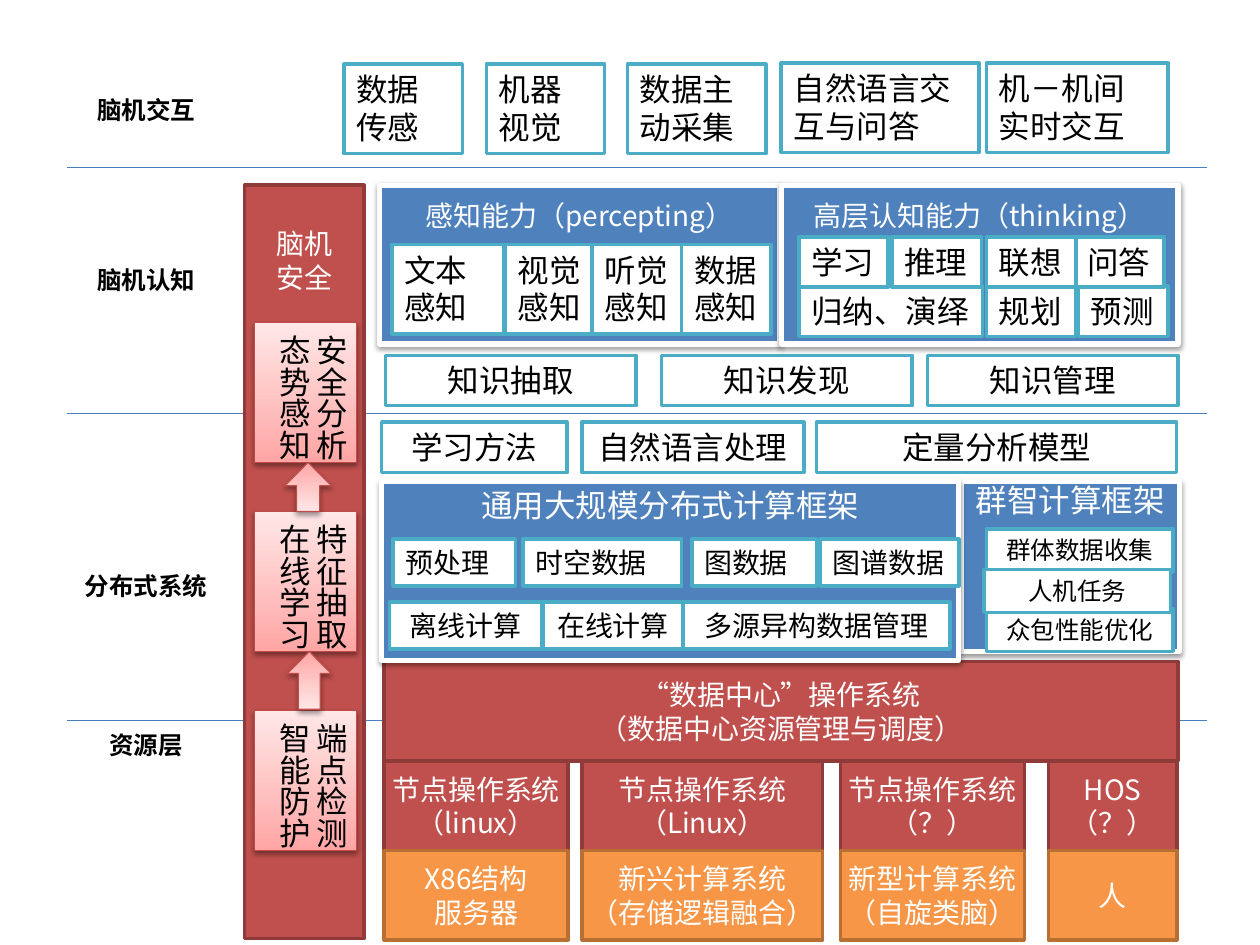
from lxml.etree import SubElement
from pptx import Presentation
from pptx.dml.color import RGBColor
from pptx.enum.shapes import MSO_CONNECTOR, MSO_SHAPE as Kind
from pptx.enum.text import MSO_ANCHOR as Anchor, MSO_AUTO_SIZE as Auto, PP_ALIGN as Align
from pptx.oxml.ns import qn
from pptx.util import Inches, Pt

FACE = "Noto Sans CJK SC"
WHITE = RGBColor(0xFF, 0xFF, 0xFF)
BLACK = RGBColor(0, 0, 0)
BLUE = RGBColor(0x4F, 0x81, 0xBD)
RULE = RGBColor(0x4B, 0x7E, 0xBC)
TEAL = RGBColor(0x4B, 0xAC, 0xC6)
RED = RGBColor(0xC0, 0x50, 0x4D)
WINE = RGBColor(0x8E, 0x3B, 0x39)
GOLD = RGBColor(0xF7, 0x96, 0x46)
BROWN = RGBColor(0xB7, 0x6F, 0x34)
ROSE = RGBColor(0xFF, 0xA6, 0xA5)
PALE = RGBColor(0xFF, 0xE7, 0xE7)
EDGE = RGBColor(0xBF, 0x4C, 0x48)


def write(shape, text, size, color, align=Align.CENTER, bold=False):
    frame = shape.text_frame
    frame.text = text
    for par in frame.paragraphs:
        par.alignment = align
        font = par.font
        font.size, font.bold, font.name = Pt(size), bold, FACE
        font.color.rgb = color
        SubElement(par._p.pPr.find(qn("a:defRPr")), qn("a:ea"), typeface=FACE)
    return frame


def draw(slide, spot, edge, width, fill=None, kind=Kind.RECTANGLE):
    shape = slide.shapes.add_shape(kind, *map(Inches, spot))
    shape.shadow.inherit = False
    shape.line.color.rgb = edge
    shape.line.width = Pt(width)
    if fill is not None:
        shape.fill.solid()
        shape.fill.fore_color.rgb = fill
    return shape


def shade(shape):
    effect = shape.element.spPr.find(qn("a:effectLst"))
    outer = SubElement(effect, qn("a:outerShdw"), blurRad=str(Pt(3.1)),
                       dist=str(Pt(1.6)), dir="5400000", rotWithShape="0")
    tone = SubElement(outer, qn("a:srgbClr"), val="000000")
    SubElement(tone, qn("a:alpha"), val="38000")


def block(slide, spot, text, fill, edge, width=2, size=16, head=None):
    shape = draw(slide, spot, edge, width, fill)
    frame = write(shape, text, size, WHITE)
    frame.word_wrap = True
    frame.margin_left = frame.margin_right = Inches(0.04)
    frame.vertical_anchor = Anchor.MIDDLE
    if head is not None:
        frame.vertical_anchor = Anchor.TOP
        frame.margin_top = Inches(head)
    return shape


def panel(slide, spot, text, size, head):
    shade(block(slide, spot, text, BLUE, WHITE, 3, size, head))


def row(slide, top, high, items, size=18, align=Align.CENTER, wrap=True):
    for left, width, text in items:
        shape = draw(slide, (left, top, width, high), TEAL, 2, WHITE)
        frame = write(shape, text, size, BLACK, align)
        frame.word_wrap = wrap
        frame.vertical_anchor = Anchor.TOP
        frame.auto_size = Auto.SHAPE_TO_FIT_TEXT


def blush(slide, spot, kind=Kind.RECTANGLE):
    shape = draw(slide, spot, EDGE, 0.75, kind=kind)
    shape.fill.gradient()
    shape.fill.gradient_angle = 90
    for stop, color in zip(shape.fill.gradient_stops, (ROSE, PALE)):
        stop.color.rgb = color
    shade(shape)
    return shape


def step(slide, top, text):
    shape = blush(slide, (2.02, top, 0.81, 1.11))
    frame = write(shape, text, 18, BLACK, Align.LEFT)
    frame.word_wrap = False
    frame.vertical_anchor = Anchor.TOP
    frame.auto_size = Auto.SHAPE_TO_FIT_TEXT
    shape.element.txBody.bodyPr.set("vert", "eaVert")


def arrow(slide, spot):
    blush(slide, spot, Kind.DOWN_ARROW).rotation = 180


def rule(slide, top):
    line = slide.shapes.add_connector(
        MSO_CONNECTOR.STRAIGHT, Inches(0.53), Inches(top), Inches(9.58), Inches(top))
    line.line.color.rgb = RULE
    line.line.width = Pt(0.75)
    SubElement(line.element.spPr, qn("a:effectLst"))


def label(slide, top, text):
    box = slide.shapes.add_textbox(Inches(0.05), Inches(top), Inches(2.22), Inches(0.56))
    frame = write(box, text, 14, BLACK, bold=True)
    frame.word_wrap = True
    frame.vertical_anchor = Anchor.MIDDLE


def frames(slide):
    panel(slide, (7.63, 3.82, 1.73, 1.35), "群智计算框架", 18, 0)
    for top in (1.33, 3.28, 5.72):
        rule(slide, top)
    for top, text in ((0.59, "脑机交互"), (1.94, "脑机认知"),
                      (4.37, "分布式系统"), (5.63, "资源层")):
        label(slide, top, text)
    block(slide, (3.05, 5.25, 6.3, 0.79),
          "“数据中心”操作系统\n（数据中心资源管理与调度）", RED, WINE)
    panel(slide, (3.03, 3.82, 4.58, 1.42), "通用大规模分布式计算框架", 18, 0.04)
    panel(slide, (3.01, 1.47, 3.18, 1.26), "感知能力（percepting）", 16, 0.11)
    panel(slide, (6.2, 1.47, 3.15, 1.26), "高层认知能力（thinking）", 16, 0.11)


def nodes(slide):
    for left, width, upper, lower in (
            (3.05, 1.46, "节点操作系统\n（linux）", "X86结构\n服务器"),
            (4.62, 1.91, "节点操作系统\n（Linux）", "新兴计算系统\n（存储逻辑融合）"),
            (6.67, 1.46, "节点操作系统\n（？）", "新型计算系统\n（自旋类脑）"),
            (8.32, 1.02, "HOS\n（？）", "人")):
        block(slide, (left, 6.04, width, 0.71), upper, RED, WINE)
        block(slide, (left, 6.75, width, 0.71), lower, GOLD, BROWN)


def cells(slide):
    left = Align.LEFT
    row(slide, 0.51, 0.71, ((2.73, 0.94, "数据传感"), (3.86, 0.94, "机器视觉"),
                            (4.98, 1.1, "数据主动采集")), align=left)
    row(slide, 0.5, 0.71, ((6.2, 1.57, "自然语言交互与问答"),
                           (7.83, 1.44, "机－机间\n实时交互")), align=left)
    row(slide, 1.94, 0.71, ((3.11, 0.89, "文本感知"),), align=left)
    row(slide, 1.94, 0.71, ((4.01, 0.71, "视觉\n感知"), (4.7, 0.71, "听觉\n感知"),
                            (5.41, 0.71, "数据\n感知")), align=left, wrap=False)
    row(slide, 2.27, 0.4, ((6.34, 1.46, "归纳、演绎"), (7.83, 0.71, "规划"),
                           (8.56, 0.71, "预测")), align=left, wrap=False)
    row(slide, 1.88, 0.4, ((6.34, 0.71, "学习"), (7.08, 0.71, "推理"),
                           (8.53, 0.71, "问答"), (7.83, 0.71, "联想")),
        align=left, wrap=False)
    row(slide, 2.82, 0.4, ((3.06, 1.99, "知识抽取"), (5.25, 1.99, "知识发现"),
                           (7.36, 1.99, "知识管理")))
    row(slide, 3.35, 0.4, ((3.03, 1.47, "学习方法"), (4.62, 1.76, "自然语言处理"),
                           (6.48, 2.86, "定量分析模型")))
    row(slide, 4.28, 0.37, ((3.12, 0.97, "预处理"), (4.15, 1.26, "时空数据"),
                            (5.49, 0.99, "图数据"), (6.51, 1.1, "图谱数据")), 16, left)
    row(slide, 4.78, 0.37, ((3.09, 1.21, "离线计算"), (4.31, 1.11, "在线计算"),
                            (5.42, 2.12, "多源异构数据管理")), 16)
    for top, start, text in ((4.2, 7.83, "群体数据收集"), (4.83, 7.83, "众包性能优化"),
                             (4.52, 7.81, "人机任务")):
        row(slide, top, 0.34, ((start, 1.48, text),), 14)


def safety(slide):
    block(slide, (1.94, 1.47, 0.95, 5.98), "脑机\n安全", RED, WINE, head=0.33)
    for top, text in ((2.56, "安全分析\n态势感知"), (4.06, "特征抽取\n在线学习"),
                      (5.64, "端点检测\n智能防护")):
        step(slide, top, text)
    arrow(slide, (2.28, 5.17, 0.35, 0.46))
    arrow(slide, (2.26, 3.67, 0.37, 0.39))


def main():
    deck = Presentation()
    deck.slide_width, deck.slide_height = Inches(10), Inches(7.5)
    slide = deck.slides.add_slide(deck.slide_layouts[6])
    frames(slide)
    nodes(slide)
    cells(slide)
    safety(slide)
    deck.save("out.pptx")


if __name__ == "__main__":
    main()
